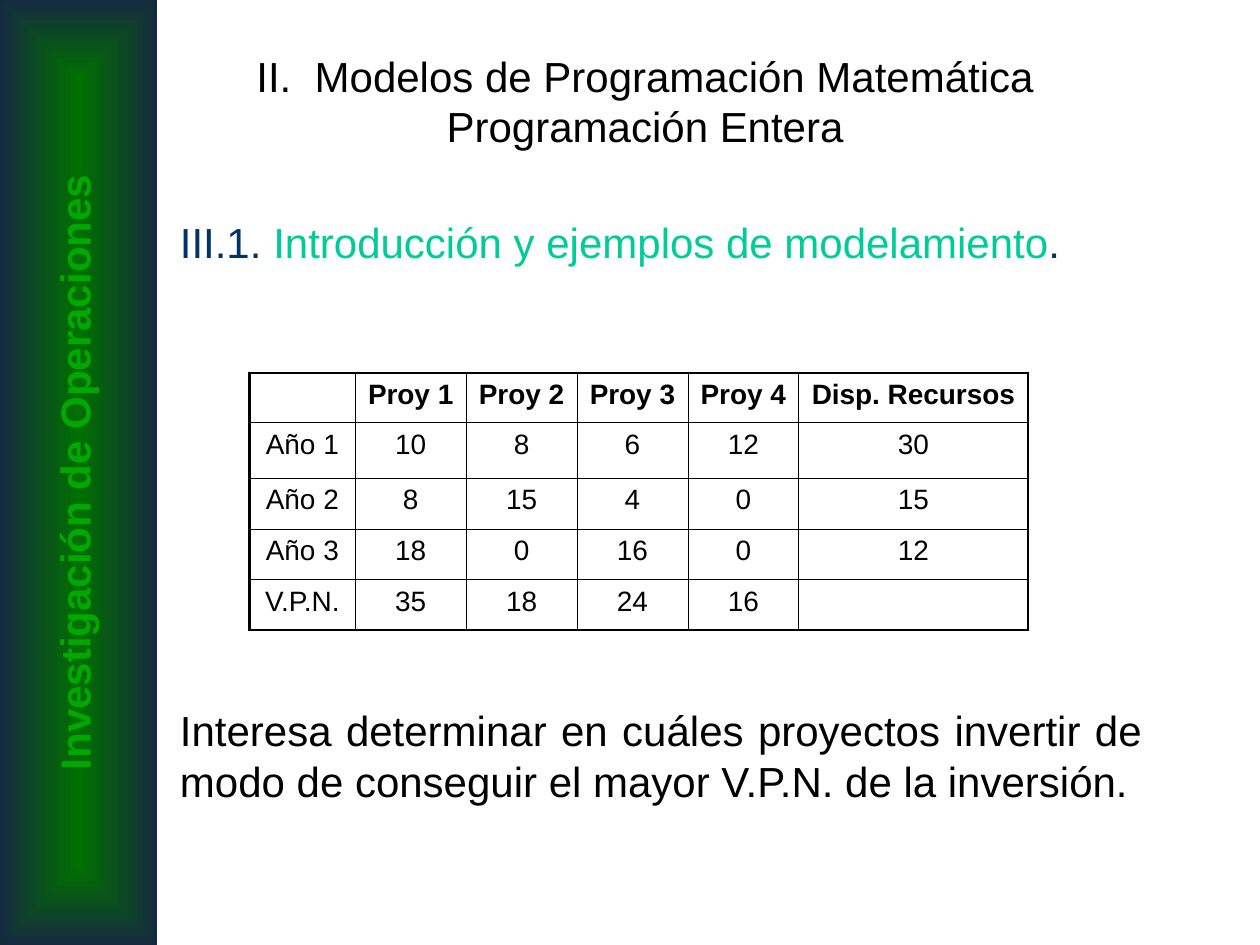
from lxml import etree
from pptx import Presentation
from pptx import util as u
from pptx.dml.color import RGBColor
from pptx.enum import shapes, text
from pptx.oxml import ns

BLACK = RGBColor(0, 0, 0)
GREEN = RGBColor(0x00, 0x70, 0x00)
NAVY = RGBColor(0x15, 0x2A, 0x3F)
LIME = RGBColor(0x00, 0xA8, 0x00)
BLUE = RGBColor(0x00, 0x33, 0x66)
TEAL = RGBColor(0x00, 0xCC, 0x99)

WIDE, HIGH = u.Inches(10), u.Inches(7.5)
THICK, THIN = 1.47, 0.45
COLS = [0.84] + [0.88] * 4 + [1.82]
ROWS = [0.39, 0.44, 0.4, 0.4, 0.4]
DATA = [
    ["", "Proy 1", "Proy 2", "Proy 3", "Proy 4", "Disp. Recursos"],
    ["Año 1", "10", "8", "6", "12", "30"],
    ["Año 2", "8", "15", "4", "0", "15"],
    ["Año 3", "18", "0", "16", "0", "12"],
    ["V.P.N.", "35", "18", "24", "16", ""],
]


def box(left, top, width, height):
    """Turn shares of the slide into lengths."""
    return (int(left * WIDE), int(top * HIGH),
            int(width * WIDE), int(height * HIGH))


def style(para, size, color=None, bold=False, align=text.PP_ALIGN.CENTER):
    para.alignment = align
    font = para.font
    font.name, font.size, font.bold = "Arial", u.Pt(size), bold
    if color is not None:
        font.color.rgb = color


def add_band(slide, area, label):
    """Side band, shaded from its centre, with a label that reads upwards."""
    left, top, width, height = area
    band = slide.shapes.add_shape(shapes.MSO_SHAPE.RECTANGLE, *area)
    band.shadow.inherit = False
    band.line.fill.background()
    band.fill.gradient()
    for stop, color in zip(band.fill.gradient_stops, (GREEN, NAVY)):
        stop.color.rgb = color
    grad = band.fill._xPr.find(ns.qn("a:gradFill"))
    grad.remove(grad.find(ns.qn("a:lin")))
    shade = etree.SubElement(grad, ns.qn("a:path"), path="rect")
    etree.SubElement(shade, ns.qn("a:fillToRect"),
                     l="50000", t="50000", r="50000", b="50000")

    deep = u.Inches(0.5)
    mid = left + int(width * 0.47)
    note = slide.shapes.add_textbox(mid - height // 2,
                                    top + (height - deep) // 2, height, deep)
    note.rotation = 270
    frame = note.text_frame
    frame.word_wrap = True
    frame.text = label
    style(frame.paragraphs[0], 24, LIME, bold=True)


def set_title(slide, area, words):
    title = slide.shapes.title
    title.left, title.top, title.width, title.height = area
    frame = title.text_frame
    frame.vertical_anchor = text.MSO_ANCHOR.MIDDLE
    frame.text = words
    style(frame.paragraphs[0], 24, BLACK)


def add_body(slide, area, head, close):
    """Heading in coloured runs, then the closing text below the table."""
    frame = slide.shapes.add_textbox(*area).text_frame
    frame.word_wrap = True
    first = frame.paragraphs[0]
    style(first, 24, align=text.PP_ALIGN.JUSTIFY)
    for words, color in head:
        run = first.add_run()
        run.text = words
        run.font.color.rgb = color
    last = frame.add_paragraph()
    last.text = close
    last.space_before = u.Pt(250)
    style(last, 24, BLACK, align=text.PP_ALIGN.JUSTIFY)


def rule_cell(cell, outer):
    """Draw the four borders, thick on the sides named in outer."""
    props = cell._tc.get_or_add_tcPr()
    for spot, side in enumerate("LRTB"):
        width = THICK if side in outer else THIN
        line = etree.Element(ns.qn("a:ln" + side), w=str(u.Pt(width)))
        fill = etree.SubElement(line, ns.qn("a:solidFill"))
        etree.SubElement(fill, ns.qn("a:srgbClr"), val=str(BLACK))
        props.insert(spot, line)


def add_grid(slide, area):
    rows, cols = len(ROWS), len(COLS)
    grid = slide.shapes.add_table(rows, cols, *area).table
    grid.first_row = grid.horz_banding = False
    for col, share in zip(grid.columns, COLS):
        col.width = int(area[2] * share / sum(COLS))
    for row, share in zip(grid.rows, ROWS):
        row.height = int(area[3] * share / sum(ROWS))
    for r, line in enumerate(DATA):
        for c, words in enumerate(line):
            cell = grid.cell(r, c)
            cell.text = words
            cell.fill.background()
            style(cell.text_frame.paragraphs[0], 16, BLACK, bold=r == 0)
            edges = {"L": c == 0, "R": c == cols - 1,
                     "T": r == 0, "B": r == rows - 1}
            rule_cell(cell, [side for side, on in edges.items() if on])


def main():
    deck = Presentation()
    deck.slide_width, deck.slide_height = WIDE, HIGH
    slide = deck.slides.add_slide(deck.slide_layouts[5])
    add_band(slide, box(0, 0, 0.125, 1), "Investigación de Operaciones")
    set_title(slide, box(0.133, 0.023, 0.758, 0.167),
              "II.  Modelos de Programación Matemática\vProgramación Entera")
    add_body(slide, box(0.133, 0.223, 0.783, 0.733),
             [("III.1. ", BLUE),
              ("Introducción y ejemplos de modelamiento", TEAL),
              (".", BLUE)],
             "Interesa determinar en cuáles proyectos invertir de modo de "
             "conseguir el mayor V.P.N. de la inversión.")
    add_grid(slide, box(0.198, 0.395, 0.618, 0.272))
    deck.save("out.pptx")


if __name__ == "__main__":
    main()
